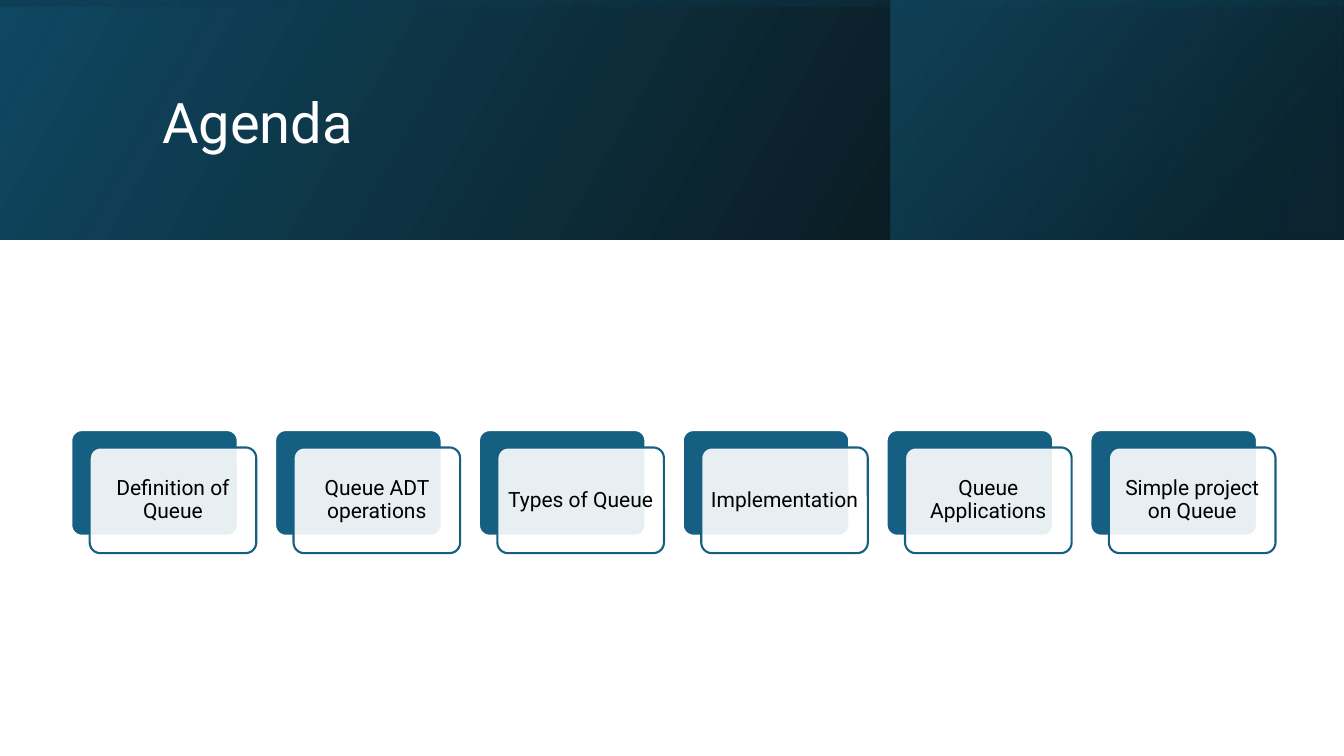
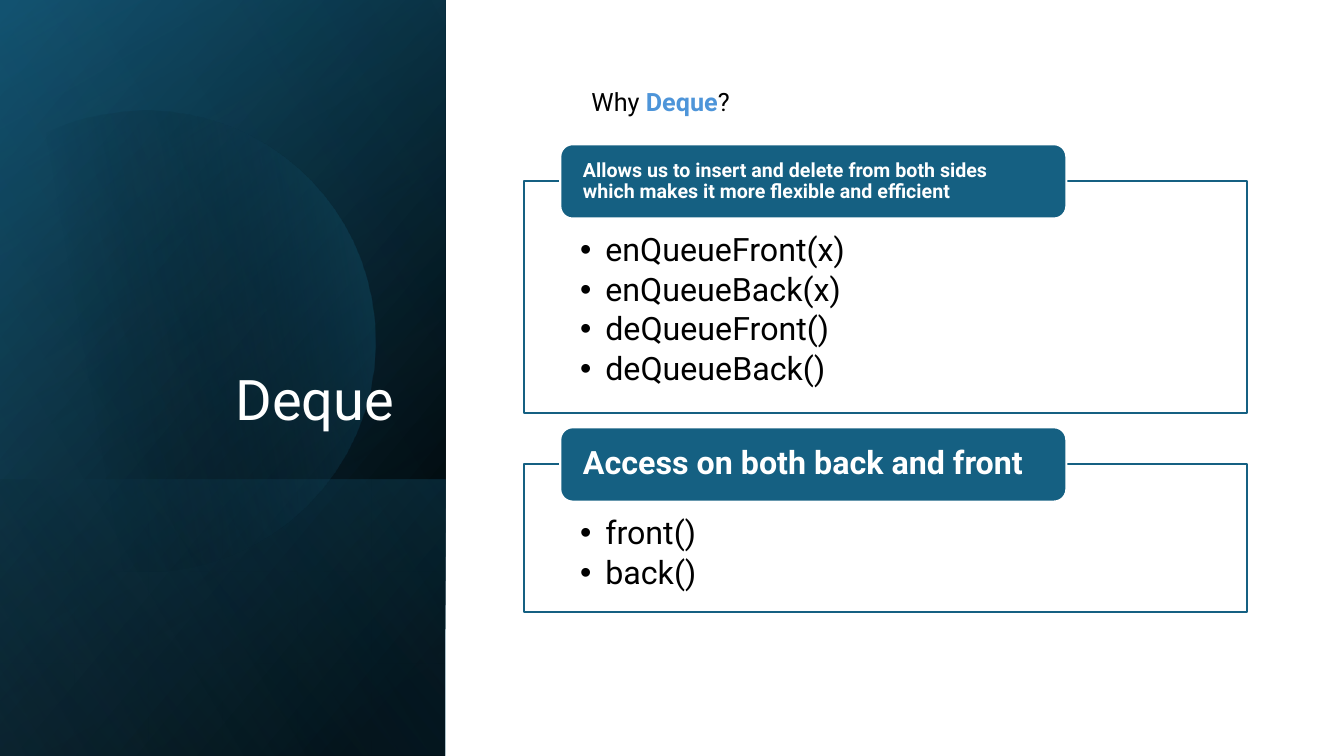
from dataclasses import dataclass
from typing import Any, NamedTuple

from pptx import Presentation
from pptx.dml.color import RGBColor
from pptx.enum.shapes import MSO_SHAPE
from pptx.enum.text import MSO_ANCHOR, MSO_AUTO_SIZE, PP_ALIGN
from pptx.oxml.ns import qn
from pptx.oxml.xmlchemy import OxmlElement
from pptx.util import Pt

# Shared look
FONT = "Roboto"
WHITE, BLACK = "FFFFFF", "000000"
TEAL, NAVY, DEEP = "156082", "104862", "0B3041"
SKY, ACCENT = "46B1E1", "4E95D9"
WIDTH, HEIGHT = 960, 540
BAND_HEIGHT = 171
PANEL_WIDTH = 318.24


class Box(NamedTuple):
    left: float
    top: float
    width: float
    height: float


class Stop(NamedTuple):
    position: int
    color: str
    opacity: int = 100


@dataclass(frozen=True)
class Wash:
    """A gradient rectangle, given by the area it covers once rotated."""
    area: Box
    stops: tuple[Stop, Stop]
    angle: int
    rotation: int = 0


@dataclass(frozen=True)
class Section:
    top: float
    height: float
    label: str
    label_size: float
    items: tuple[str, ...]


BAND = Box(0, 0, WIDTH, BAND_HEIGHT)
BAND_WASHES = (
    Wash(BAND, (Stop(0, BLACK, 96), Stop(100, NAVY)), 330),
    Wash(Box(636.5, 0, 323, BAND_HEIGHT), (Stop(19, DEEP, 68), Stop(100, TEAL, 48)), 320),
    Wash(BAND, (Stop(23, NAVY, 16), Stop(99, BLACK, 45)), 350, 270),
)

PANEL = Box(0, 0, PANEL_WIDTH, HEIGHT)
PANEL_WASHES = (
    Wash(PANEL, (Stop(8, BLACK), Stop(100, NAVY)), 50, 90),
    Wash(PANEL, (Stop(0, BLACK, 0), Stop(99, TEAL, 46)), 30, 90),
    Wash(Box(0, 342.7, PANEL_WIDTH, 197.3), (Stop(2, TEAL, 29), Stop(100, BLACK, 30)), 130, 90),
)
PANEL_GLOW = Wash(PANEL, (Stop(0, BLACK, 0), Stop(99, SKY, 11)), 120, 90)

# Outline of the disc on the panel: start, then Bezier segments, then corners
DISC_START = (107.3, 79.2)
DISC_CURVES = (
    ((177.1, 80.6), (241.2, 127.4), (261.4, 198)),
    ((286.6, 285.8), (236.2, 376.6), (149, 401.8)),
    ((94.3, 417.6), (38.2, 403.9), (-2.2, 370.1)),
)
DISC_CORNERS = ((-10.8, 362.2), (-10.8, 126), (0, 115.9))
DISC_CLOSING = (
    ((16.6, 102.2), (36, 92.2), (57.6, 85.7)),
    ((74.2, 81.4), (90.7, 79.2), DISC_START),
)

AGENDA = (
    "Definition of Queue", "Queue ADT operations", "Types of Queue",
    "Implementation", "Queue Applications", "Simple project on Queue",
)
SECTIONS = (
    Section(129.4, 165.6, "Allows us to insert and delete from both sides "
            "which makes it more flexible and efficient", 14,
            ("enQueueFront(x)", "enQueueBack(x)", "deQueueFront()", "deQueueBack()")),
    Section(331.6, 105.6, "Access on both back and front", 23, ("front()", "back()")),
)


def color(value: str) -> RGBColor:
    return RGBColor.from_string(value)


def apply_format(target: Any, values: dict[str, Any]) -> None:
    for name, value in values.items():
        setattr(target, name, value)


def place(shape: Any, box: Box) -> None:
    apply_format(shape, {name: Pt(value) for name, value in box._asdict().items()})


def set_opacity(shape: Any, *percents: int) -> None:
    """Set the opacity of the fill colours, in order."""
    for node, percent in zip(shape.element.spPr.iter(qn("a:srgbClr")), percents):
        alpha = OxmlElement("a:alpha")
        alpha.set("val", str(percent * 1000))
        node.append(alpha)


def paint(shape: Any, fill: str, outline: str, opacity: int = 100) -> None:
    shape.fill.solid()
    shape.fill.fore_color.rgb = color(fill)
    if opacity < 100:
        set_opacity(shape, opacity)
    shape.line.color.rgb = color(outline)
    shape.line.width = Pt(1.5)


def paint_gradient(shape: Any, stops: tuple[Stop, Stop], angle: int) -> None:
    shape.shadow.inherit = False
    shape.fill.gradient()
    shape.fill.gradient_angle = 360 - angle
    for target, stop in zip(shape.fill.gradient_stops, stops):
        target.position = stop.position / 100
        target.color.rgb = color(stop.color)
    set_opacity(shape, *(stop.opacity for stop in stops))
    shape.line.fill.background()


def add_wash(slide: Any, wash: Wash) -> None:
    left, top, width, height = wash.area
    if wash.rotation in (90, 270):
        shift = (width - height) / 2
        left, top, width, height = left + shift, top - shift, height, width
    shape = slide.shapes.add_shape(MSO_SHAPE.RECTANGLE, *map(Pt, (left, top, width, height)))
    paint_gradient(shape, wash.stops, wash.angle)
    shape.rotation = wash.rotation
    shape.element.spPr.xfrm.set("flipH", "1")


def bezier_points(start: tuple, curves: tuple, steps: int = 16) -> list[tuple]:
    points = []
    for first, second, end in curves:
        for step in range(1, steps + 1):
            t = step / steps
            weights = ((1 - t) ** 3, 3 * t * (1 - t) ** 2, 3 * t * t * (1 - t), t ** 3)
            corners = (start, first, second, end)
            points.append(tuple(sum(w * corner[axis] for w, corner in zip(weights, corners))
                                for axis in (0, 1)))
        start = end
    return points


def add_disc(slide: Any) -> None:
    points = [*bezier_points(DISC_START, DISC_CURVES), *DISC_CORNERS,
              *bezier_points(DISC_CORNERS[-1], DISC_CLOSING)]
    builder = slide.shapes.build_freeform(*map(Pt, DISC_START))
    builder.add_line_segments([(Pt(x), Pt(y)) for x, y in points], close=True)
    paint_gradient(builder.convert_to_shape(), (Stop(29, BLACK, 0), Stop(100, TEAL, 43)), 350)


def set_frame(shape: Any, anchor: MSO_ANCHOR, insets: tuple = (7.2, 3.6, 7.2, 3.6)) -> None:
    sides = ("margin_left", "margin_top", "margin_right", "margin_bottom")
    apply_format(shape.text_frame, {
        "word_wrap": True, "auto_size": MSO_AUTO_SIZE.NONE, "vertical_anchor": anchor,
        **{side: Pt(inset) for side, inset in zip(sides, insets)},
    })


def write(paragraph: Any, text: str, size: float, ink: str = BLACK, bold: bool = False,
          align: PP_ALIGN = PP_ALIGN.LEFT, after: float = 0) -> None:
    """Add one run to a paragraph and format both."""
    apply_format(paragraph, {"alignment": align, "line_spacing": 0.9,
                             "space_before": Pt(0), "space_after": Pt(after)})
    run = paragraph.add_run()
    run.text = text
    apply_format(run.font, {"name": FONT, "size": Pt(size), "bold": bold})
    run.font.color.rgb = color(ink)


def add_title(slide: Any, text: str, box: Box, anchor: MSO_ANCHOR, align: PP_ALIGN) -> None:
    title = slide.shapes.title
    place(title, box)
    set_frame(title, anchor)
    write(title.text_frame.paragraphs[0], text, 40, WHITE, align=align)
    # Bring the title in front of the gradients
    title.element.getparent().append(title.element)


def add_rounded(slide: Any, box: Box, fill: str, outline: str,
                opacity: int = 100, corner: float = 0.1667) -> Any:
    shape = slide.shapes.add_shape(MSO_SHAPE.ROUNDED_RECTANGLE, *map(Pt, box))
    shape.shadow.inherit = False
    shape.adjustments[0] = corner
    paint(shape, fill, outline, opacity)
    return shape


def add_card(slide: Any, left: float, text: str) -> None:
    back = Box(left, 307.2, 119, 75.5)
    front = back._replace(left=left + 13.2, top=back.top + 12.4)
    add_rounded(slide, back, TEAL, WHITE, corner=0.1)
    card = add_rounded(slide, front, WHITE, TEAL, 90, 0.1)
    # Narrow insets keep the longest word on one line
    set_frame(card, MSO_ANCHOR.MIDDLE, (3.5, 4, 3.5, 4))
    write(card.text_frame.paragraphs[0], text, 15, align=PP_ALIGN.CENTER)


def add_section(slide: Any, body: Any, section: Section) -> None:
    # Framed list
    place(body, Box(374.4, section.top, 516.2, section.height))
    paint(body, WHITE, TEAL, 90)
    set_frame(body, MSO_ANCHOR.TOP, (40, 37.6, 40, 13))
    for index, item in enumerate(section.items):
        frame = body.text_frame
        paragraph = frame.add_paragraph() if index else frame.paragraphs[0]
        properties = paragraph._p.get_or_add_pPr()
        properties.set("marL", str(Pt(18)))
        properties.set("indent", str(Pt(-18)))
        write(paragraph, item, 23, after=3.45)
    # Label across the top edge
    label = add_rounded(slide, Box(400.2, section.top - 26.4, 361.5, 53.1), TEAL, WHITE)
    set_frame(label, MSO_ANCHOR.MIDDLE, (13.6, 0, 13.6, 0))
    write(label.text_frame.paragraphs[0], section.label, section.label_size, WHITE, True)


def build_agenda(presentation: Any) -> None:
    slide = presentation.slides.add_slide(presentation.slide_layouts.get_by_name("Title Only"))
    for wash in BAND_WASHES:
        add_wash(slide, wash)
    add_title(slide, "Agenda", Box(108.7, 27.4, 765.4, 123.8), MSO_ANCHOR.MIDDLE, PP_ALIGN.LEFT)
    for index, text in enumerate(AGENDA):
        add_card(slide, 50.9 + index * 145.6, text)


def build_deque(presentation: Any) -> None:
    slide = presentation.slides.add_slide(presentation.slide_layouts.get_by_name("Two Content"))
    bodies = [shape for shape in slide.placeholders if shape.placeholder_format.idx > 0]
    # Side panel
    for wash in PANEL_WASHES:
        add_wash(slide, wash)
    add_disc(slide)
    add_wash(slide, PANEL_GLOW)
    add_title(slide, "Deque", Box(36.7, 46.1, 252, 266.4), MSO_ANCHOR.BOTTOM, PP_ALIGN.RIGHT)
    # Question
    question = slide.shapes.add_textbox(*map(Pt, (415.4, 60.5, 486, 27.4)))
    set_frame(question, MSO_ANCHOR.TOP)
    for text, ink, bold in (("Why ", BLACK, False), ("Deque", ACCENT, True), ("?", BLACK, False)):
        write(question.text_frame.paragraphs[0], text, 18, ink, bold)
    for body, section in zip(bodies, SECTIONS):
        add_section(slide, body, section)


def main() -> None:
    presentation = Presentation()
    apply_format(presentation, {"slide_width": Pt(WIDTH), "slide_height": Pt(HEIGHT)})
    build_agenda(presentation)
    build_deque(presentation)
    presentation.save("out.pptx")


if __name__ == "__main__":
    main()
